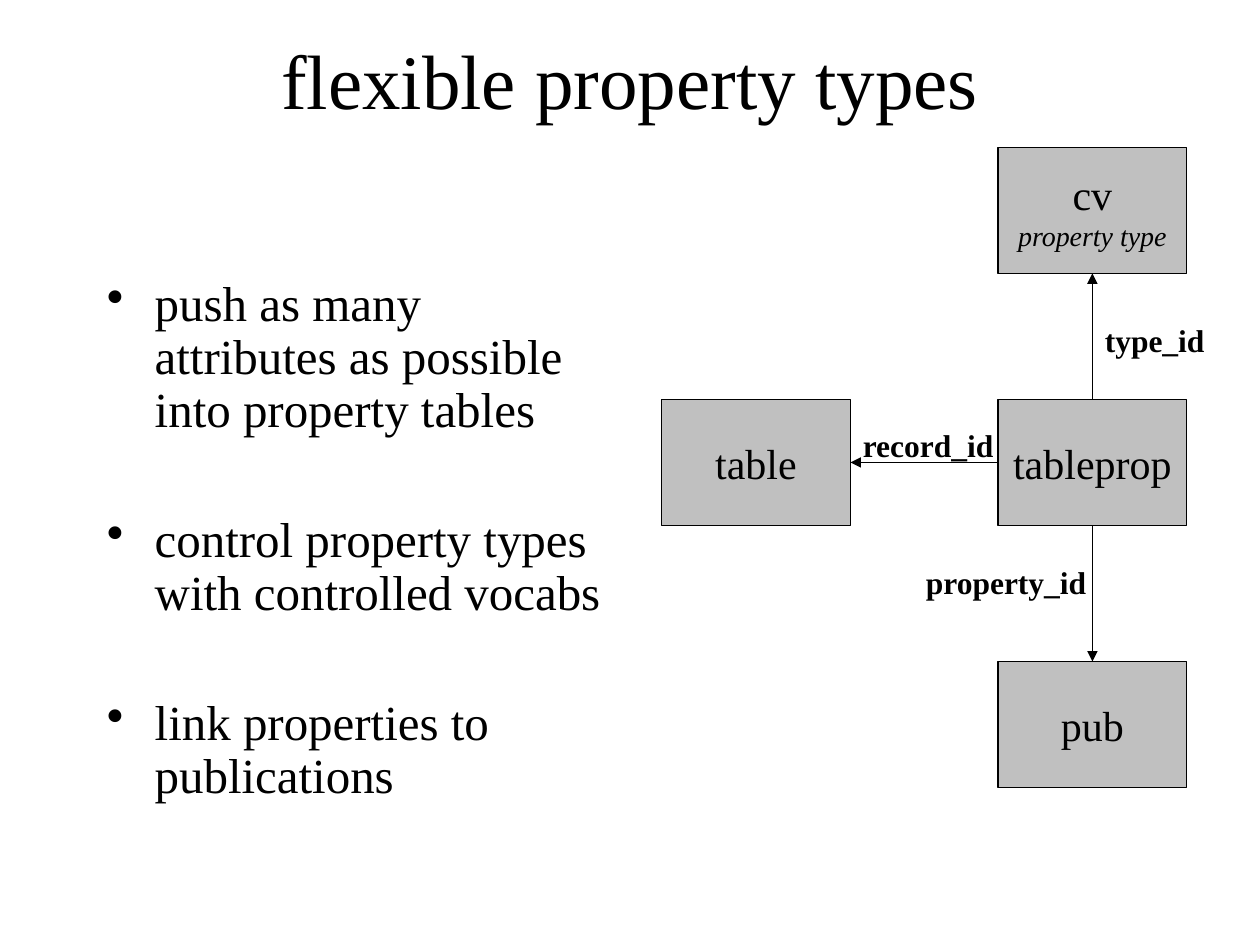
import pptx
import pptx.util
import pptx.dml.color
import pptx.enum.shapes
import pptx.enum.text
import pptx.oxml.ns
from lxml import etree

Inches = pptx.util.Inches
Pt = pptx.util.Pt
Align = pptx.enum.text.PP_ALIGN
Anchor = pptx.enum.text.MSO_ANCHOR
qn = pptx.oxml.ns.qn

COLORS = {"ink": "000000", "box": "C0C0C0"}
FONT = "Times New Roman"
TOP, LEFT, BOTTOM, RIGHT = range(4)
BOX_W, BOX_H = 1.5, 1
COL, ROW = 7.92, 3.17


def color(name):
    return pptx.dml.color.RGBColor.from_string(COLORS[name])


def add_run(para, text, size, bold=False, italic=False):
    run = para.add_run()
    run.text = text
    font = run.font
    font.name, font.size = FONT, Pt(size)
    font.bold, font.italic = bold, italic
    font.color.rgb = color("ink")


def add_text(slide, left, top, width, height):
    shape = slide.shapes.add_textbox(*map(Inches, (left, top, width, height)))
    shape.text_frame.word_wrap = True
    return shape.text_frame


def add_title(slide, text):
    frame = add_text(slide, 0.75, 0, 8.5, 1.25)
    frame.vertical_anchor = Anchor.MIDDLE
    para = frame.paragraphs[0]
    para.alignment = Align.CENTER
    add_run(para, text, 44)


def add_list(slide, items):
    frame = add_text(slide, 0.75, 2.17, 4.17, 4.5)
    for i, text in enumerate(items):
        para = frame.add_paragraph() if i else frame.paragraphs[0]
        props = para._p.get_or_add_pPr()
        props.set("marL", str(Inches(0.38)))
        props.set("indent", str(-Inches(0.38)))
        etree.SubElement(props, qn("a:buChar")).set("char", "•")
        para.line_spacing = 0.9
        if i:
            para.space_before = Pt(44)
        add_run(para, text, 28)


def add_box(slide, left, top, name, note=None):
    box = slide.shapes.add_shape(
        pptx.enum.shapes.MSO_SHAPE.RECTANGLE,
        *map(Inches, (left, top, BOX_W, BOX_H)))
    box.shadow.inherit = False
    box.fill.solid()
    box.fill.fore_color.rgb = color("box")
    box.line.color.rgb = color("ink")
    box.line.width = Pt(0.75)
    frame = box.text_frame
    frame.word_wrap = False
    frame.vertical_anchor = Anchor.MIDDLE
    para = frame.paragraphs[0]
    para.alignment = Align.CENTER
    add_run(para, name, 24)
    if note:
        para = frame.add_paragraph()
        para.alignment = Align.CENTER
        add_run(para, note, 16, italic=True)
    return box


def add_arrow(slide, start, exit_side, end, entry_side):
    arrow = slide.shapes.add_connector(
        pptx.enum.shapes.MSO_CONNECTOR.STRAIGHT, 0, 0, 0, 0)
    arrow.begin_connect(start, exit_side)
    arrow.end_connect(end, entry_side)
    arrow.line.color.rgb = color("ink")
    arrow.line.width = Pt(0.75)
    line = arrow.line._get_or_add_ln()
    etree.SubElement(line, qn("a:tailEnd")).set("type", "triangle")
    etree.SubElement(arrow._element.spPr, qn("a:effectLst"))


def add_label(slide, left, top, width, text):
    frame = add_text(slide, left, top, width, 0.4)
    frame.auto_size = pptx.enum.text.MSO_AUTO_SIZE.SHAPE_TO_FIT_TEXT
    add_run(frame.paragraphs[0], text, 18, bold=True)


def main():
    deck = pptx.Presentation()
    deck.slide_width, deck.slide_height = Inches(10), Inches(7.5)
    slide = deck.slides.add_slide(deck.slide_layouts[6])

    add_title(slide, "flexible property types")
    add_list(slide, [
        "push as many attributes as possible into property tables",
        "control property types with controlled vocabs",
        "link properties to publications",
    ])

    table = add_box(slide, 5.25, ROW, "table")
    prop = add_box(slide, COL, ROW, "tableprop")
    vocab = add_box(slide, COL, 1.17, "cv", "property type")
    pub = add_box(slide, COL, 5.25, "pub")

    add_arrow(slide, prop, LEFT, table, RIGHT)
    add_arrow(slide, prop, TOP, vocab, BOTTOM)
    add_arrow(slide, prop, BOTTOM, pub, TOP)

    add_label(slide, 6.75, 3.33, 1.33, "record_id")
    add_label(slide, 8.67, 2.5, 1.08, "type_id")
    add_label(slide, 7.25, 4.42, 1.75, "property_id")

    deck.save("out.pptx")


if __name__ == "__main__":
    main()
